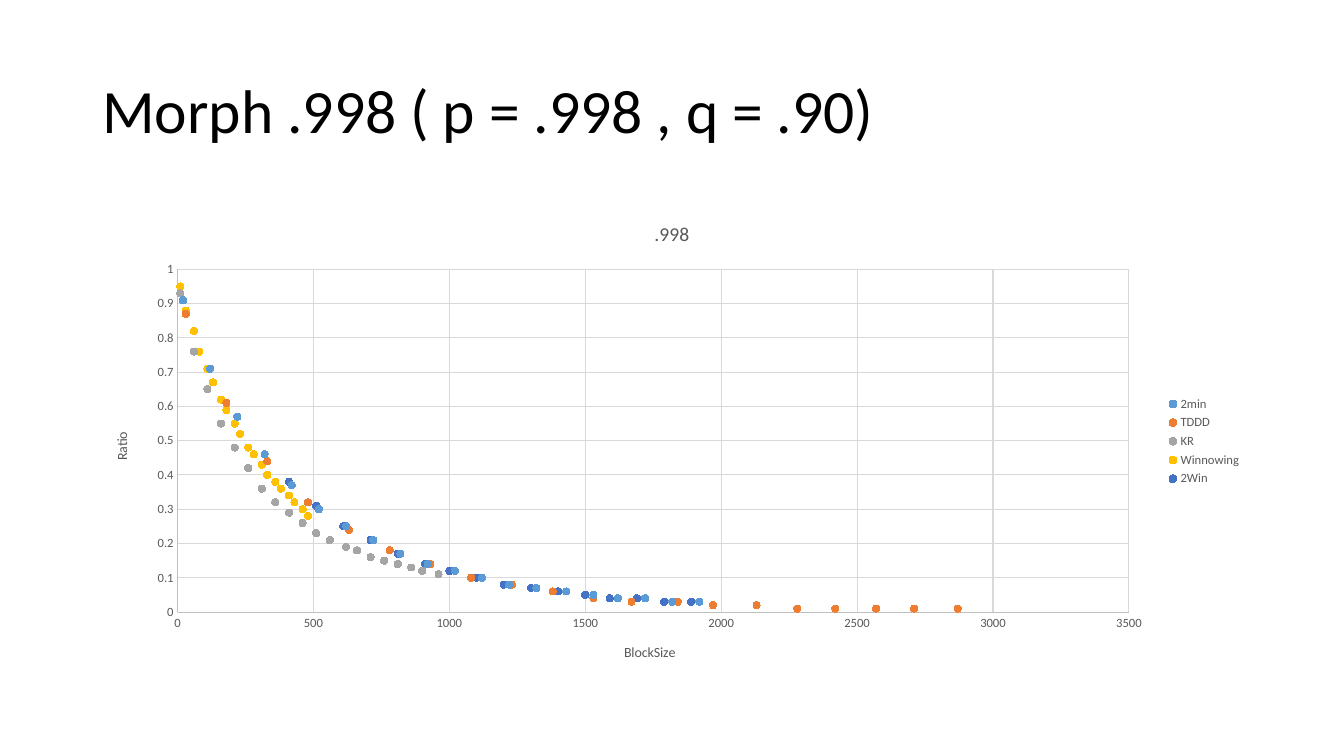
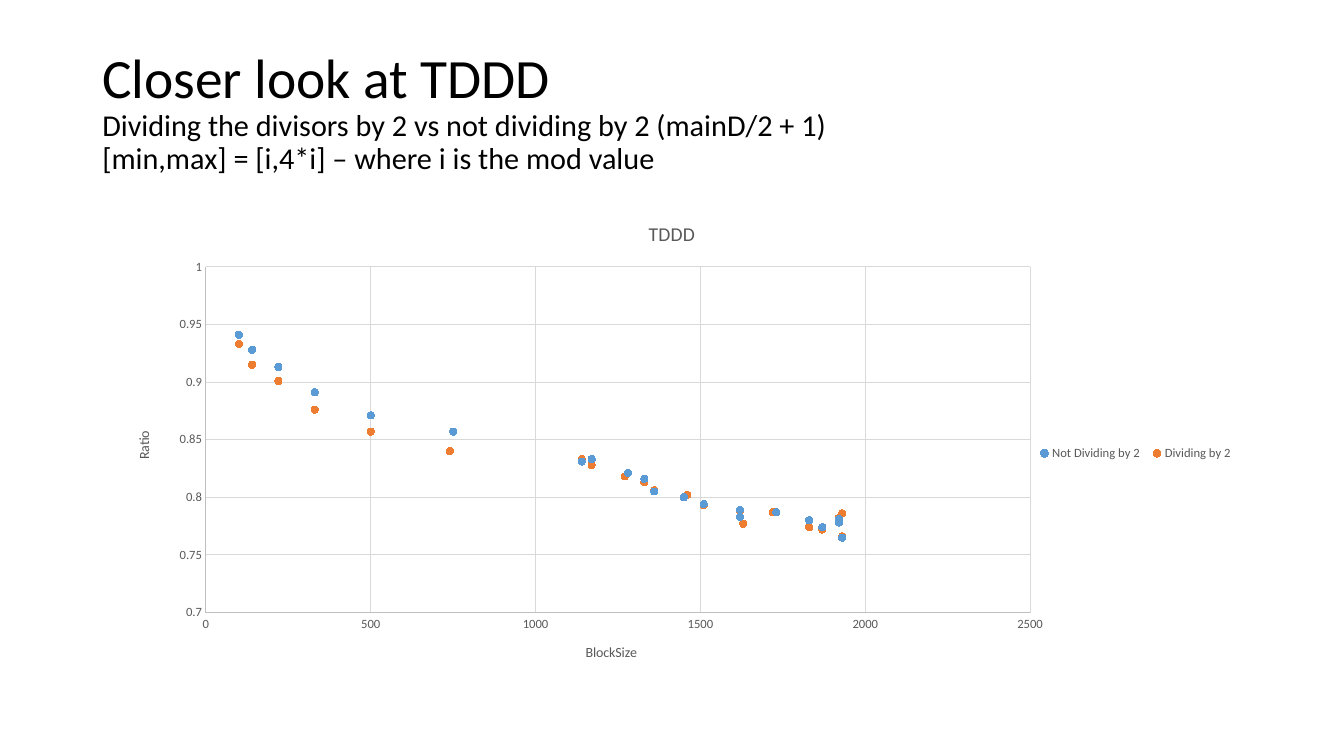
from lxml import etree
from pptx import Presentation, util as u
from pptx.chart.data import XyChartData
from pptx.dml.color import RGBColor
from pptx.enum import chart as ch, text
from pptx.oxml.ns import qn

COLORS = {
    "title": "000000", "label": "595959", "axis": "BFBFBF", "grid": "D9D9D9",
    "blue": "5B9BD5", "orange": "ED7D31", "gray": "A5A5A5",
    "gold": "FFC000", "navy": "4472C4",
}
SERIES_COLORS = ["blue", "orange", "gray", "gold", "navy"]
FONT = "Calibri"
COLS, ROWS = 160, 90
CELL = u.Inches(7.5) / ROWS
TITLE_BOX = (11, 4.8, 138, 17.4)
CHART_BOX = (11, 24, 138, 57.1)

MORPH_SERIES = [
    ("2min",
     [20, 120, 220, 320, 420, 520, 620, 720, 820, 920,
      1020, 1120, 1220, 1320, 1430, 1530, 1620, 1720, 1820, 1920],
     [0.91, 0.71, 0.57, 0.46, 0.37, 0.3, 0.25, 0.21, 0.17, 0.14,
      0.12, 0.1, 0.08, 0.07, 0.06, 0.05, 0.04, 0.04, 0.03, 0.03]),
    ("TDDD",
     [30, 180, 330, 480, 630, 780, 930, 1080, 1230, 1380,
      1530, 1670, 1840, 1970, 2130, 2280, 2420, 2570, 2710, 2870],
     [0.87, 0.61, 0.44, 0.32, 0.24, 0.18, 0.14, 0.1, 0.08, 0.06,
      0.04, 0.03, 0.03, 0.02, 0.02, 0.01, 0.01, 0.01, 0.01, 0.01]),
    ("KR",
     [10, 60, 110, 160, 210, 260, 310, 360, 410, 460,
      510, 560, 620, 660, 710, 760, 810, 860, 900, 960],
     [0.93, 0.76, 0.65, 0.55, 0.48, 0.42, 0.36, 0.32, 0.29, 0.26,
      0.23, 0.21, 0.19, 0.18, 0.16, 0.15, 0.14, 0.13, 0.12, 0.11]),
    ("Winnowing",
     [10, 30, 60, 80, 110, 130, 160, 180, 210, 230,
      260, 280, 310, 330, 360, 380, 410, 430, 460, 480],
     [0.95, 0.88, 0.82, 0.76, 0.71, 0.67, 0.62, 0.59, 0.55, 0.52,
      0.48, 0.46, 0.43, 0.4, 0.38, 0.36, 0.34, 0.32, 0.3, 0.28]),
    ("2Win",
     [20, 120, 220, 320, 410, 510, 610, 710, 810, 910,
      1000, 1100, 1200, 1300, 1400, 1500, 1590, 1690, 1790, 1890],
     [0.91, 0.71, 0.57, 0.46, 0.38, 0.31, 0.25, 0.21, 0.17, 0.14,
      0.12, 0.1, 0.08, 0.07, 0.06, 0.05, 0.04, 0.04, 0.03, 0.03]),
]
TDDD_SERIES = [
    ("Not Dividing by 2",
     [100, 140, 220, 330, 500, 750, 1140, 1170, 1280, 1330, 1360,
      1450, 1510, 1620, 1620, 1730, 1830, 1870, 1920, 1920, 1930],
     [0.941, 0.928, 0.913, 0.891, 0.871, 0.857, 0.831, 0.833, 0.821, 0.816, 0.805,
      0.8, 0.794, 0.783, 0.789, 0.787, 0.78, 0.774, 0.781, 0.778, 0.765]),
    ("Dividing by 2",
     [100, 140, 220, 330, 500, 740, 1140, 1170, 1270, 1330, 1360,
      1460, 1510, 1630, 1620, 1720, 1830, 1870, 1920, 1930, 1930],
     [0.933, 0.915, 0.901, 0.876, 0.857, 0.84, 0.833, 0.828, 0.818, 0.813, 0.806,
      0.802, 0.793, 0.777, 0.788, 0.787, 0.774, 0.772, 0.782, 0.786, 0.766]),
]


def rgb(name):
    """Return a named palette colour."""
    return RGBColor.from_string(COLORS[name])


def place(box):
    """Turn a box of grid columns and rows into slide lengths."""
    return [round(cells * CELL) for cells in box]


def set_font(font, size, color):
    """Apply the shared typeface with a size and colour."""
    font.name, font.size, font.bold = FONT, u.Pt(size), False
    font.color.rgb = rgb(color)


def set_line(line, color):
    """Draw a thin chart line."""
    line.color.rgb = rgb(color)
    line.width = u.Pt(0.75)


def add_title(slide, box, lines):
    """Place the title lines, each given as wording and size."""
    frame = slide.shapes.add_textbox(*place(box)).text_frame
    frame.word_wrap = True
    frame.vertical_anchor = text.MSO_ANCHOR.MIDDLE
    for index, (wording, size) in enumerate(lines):
        line = frame.add_paragraph() if index else frame.paragraphs[0]
        line.text = wording
        line.line_spacing = 0.9
        set_font(line.font, size, "title")


def write_heading(heading, wording, size):
    """Write a chart or axis heading."""
    line = heading.text_frame.paragraphs[0]
    line.text = wording
    set_font(line.font, size, "label")


def style_axis(axis, wording, low, high, step):
    """Scale and style one axis with its heading and gridlines."""
    axis.minimum_scale, axis.maximum_scale, axis.major_unit = low, high, step
    axis.major_tick_mark = axis.minor_tick_mark = ch.XL_TICK_MARK.NONE
    axis.has_major_gridlines = True
    set_line(axis.major_gridlines.format.line, "grid")
    set_line(axis.format.line, "axis")
    set_font(axis.tick_labels.font, 9, "label")
    axis.tick_labels.number_format = "General"
    axis.tick_labels.number_format_is_linked = False
    write_heading(axis.axis_title, wording, 10)


def set_layout(part, index, percents, inner=False):
    """Fix a chart part at left, top, width and height in percent."""
    for old in part.findall(qn("c:layout")):
        part.remove(old)
    layout = etree.Element(qn("c:layout"))
    manual = etree.SubElement(layout, qn("c:manualLayout"))
    settings = [("layoutTarget", "inner")] if inner else []
    settings += [("xMode", "edge"), ("yMode", "edge")]
    settings += [(key, str(share / 100)) for key, share in zip("xywh", percents)]
    for tag, setting in settings:
        etree.SubElement(manual, qn("c:" + tag)).set("val", setting)
    part.insert(index, layout)


def add_scatter(slide, box, heading, groups, x_scale, y_scale, plot=None, legend=None):
    """Place a scatter chart of ratio against block size."""
    data = XyChartData()
    for name, sizes, ratios in groups:
        series = data.add_series(name)
        for size, ratio in zip(sizes, ratios):
            series.add_data_point(size, ratio)
    chart = slide.shapes.add_chart(ch.XL_CHART_TYPE.XY_SCATTER, *place(box), data).chart
    set_font(chart.font, 10, "title")
    chart.has_title = True
    write_heading(chart.chart_title, heading, 14)
    style_axis(chart.category_axis, "BlockSize", *x_scale)
    style_axis(chart.value_axis, "Ratio", *y_scale)
    chart.has_legend = True
    chart.legend.position = ch.XL_LEGEND_POSITION.RIGHT
    chart.legend.include_in_layout = False
    set_font(chart.legend.font, 9, "label")
    chart.plots[0].vary_by_categories = False
    for series, color in zip(chart.plots[0].series, SERIES_COLORS):
        series.format.line.fill.background()
        series.smooth = False
        marker = series.marker
        marker.style, marker.size = ch.XL_MARKER_STYLE.CIRCLE, 5
        marker.format.fill.solid()
        marker.format.fill.fore_color.rgb = rgb(color)
        set_line(marker.format.line, color)
    root = chart.element if hasattr(chart, "element") else chart._chartSpace
    if plot:
        set_layout(root.find(".//" + qn("c:plotArea")), 0, plot, inner=True)
    if legend:
        set_layout(root.find(".//" + qn("c:legend")), 1, legend)


def add_chart_slide(deck, title, **chart):
    """Add a slide with a title over a scatter chart."""
    slide = deck.slides.add_slide(deck.slide_layouts[6])
    add_title(slide, TITLE_BOX, title)
    add_scatter(slide, CHART_BOX, **chart)


def main():
    """Build and save the deck."""
    deck = Presentation()
    deck.slide_width, deck.slide_height = round(COLS * CELL), round(ROWS * CELL)
    add_chart_slide(
        deck, [("Morph .998 ( p = .998 , q = .90)", 44)],
        heading=".998", groups=MORPH_SERIES,
        x_scale=(0, 3500, 500), y_scale=(0, 1, 0.1))
    add_chart_slide(
        deck,
        [("Closer look at TDDD", 39.6),
         ("Dividing the divisors by 2 vs not dividing by 2 (mainD/2 + 1)", 21.6),
         ("[min,max] = [i,4*i] – where i is the mod value", 21.6)],
        heading="TDDD", groups=TDDD_SERIES,
        x_scale=(0, 2500, 500), y_scale=(0.7, 1, 0.05),
        plot=(9.8, 13.6, 71.1, 72.1), legend=(81, 49, 18, 7))
    deck.save("out.pptx")


if __name__ == "__main__":
    main()
